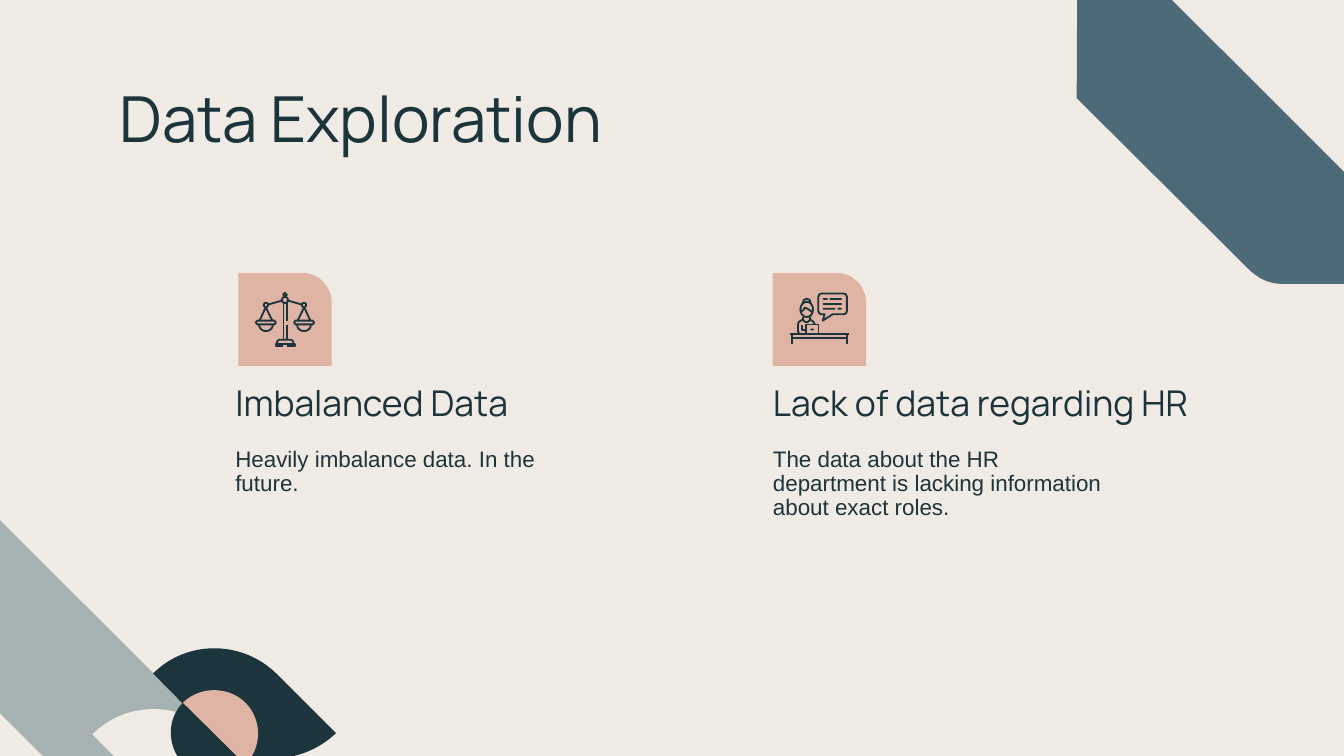
from pptx import Presentation
from pptx.dml.color import RGBColor
from pptx.enum.shapes import MSO_SHAPE
from pptx.oxml.ns import qn
from pptx.util import Pt
from lxml.etree import SubElement

HUES = {"cream": "F0EBE4", "ink": "1C343C", "pink": "E0B4A4", "grey": "A7B3B2", "blue": "4C6A78"}

BAND = [(171.8, 171), (0.5, 0), (0, 103), (92, 194.5), (97, 199.5, 103, 202.5, 110, 202.5),
        (171.8, 202.5)]
LEAF = [(0, 18), (18, 0, 47.5, 0, 66, 18), (98, 50), (79, 68, 49.5, 68, 31.5, 50)]
LOW = [(9, 41.5), (18, 50.5, 33, 50.5, 42, 41.5), (8.5, 8.5), (-0.5, 17.5, 0, 32.5, 9, 41.5)]
HIGH = [(42, 8.5), (33, -0.5, 17.5, -0.5, 8.5, 8.5), (42, 41.5), (51, 32.5, 51, 17.5, 42, 8.5)]

WIDE = 32.4
POST = [
    [(15.4, 6), (15.4, 25.6)],
    [(17.2, 6), (17.2, 15.5)],
    [(17.2, 17.5), (17.2, 25.6)],
    [(12, 27.7), (12, 26.6), (13, 25.6), (19.6, 25.6), (20.6, 26.6), (20.6, 27.7)],
    [(15.3, 29.1), (11.2, 29.1), (11.2, 27.7), (21.6, 27.7), (21.6, 29.1), (17.4, 29.1)],
]
ARM = [
    [(14.8, 4.6), (7.4, 6.7)],
    [(2.6, 15.4), (5.9, 8.2), (9.4, 15.4)],
    [(1.4, 15.4), (10.6, 15.4), (11.6, 15.4, 11.6, 17.4, 10.6, 17.4), (1.4, 17.4),
     (0.3, 17.4, 0.3, 15.4, 1.4, 15.4)],
    [(2.2, 17.4), (2.6, 22.2, 9.4, 22.2, 9.8, 17.4)],
]
CLERK = [
    [(7.3, 6), (7, 2.9, 11.8, 2.9, 11.5, 6)],
    [(6.4, 10.6), (7.4, 9.9, 8.2, 9.4, 8.3, 8.4), (9.5, 8.8, 11, 9.6, 12.3, 10.8)],
    [(7.4, 13.4), (7.4, 14.8), (8.3, 16.8, 10.3, 16.8, 11.2, 14.8), (11.2, 13.4)],
    [(8.6, 22.7), (6.5, 22.7), (5.4, 22.7, 4.7, 22, 4.7, 20.9), (4.7, 17.4),
     (4.7, 16.2, 5.3, 15.8, 6.2, 15.4), (7.4, 14.8)],
    [(11.2, 14.8), (13, 16), (13.6, 16.4, 13.8, 17, 13.8, 17.5)],
    [(6.9, 18), (6.9, 20.5), (8.8, 20.5)],
    [(9, 17.5), (15.7, 17.5), (15.7, 22.7), (9, 22.7), (9, 17.5)],
]
DESK = [
    [(0.5, 22.7), (32, 22.7)],
    [(1.7, 24.7), (31, 24.7)],
    [(1.7, 22.7), (1.7, 27.9)],
    [(31, 22.7), (31, 27.9)],
]
CHAT = [(17.3, 12), (16.4, 12, 15.6, 11.3, 15.6, 10.4), (15.6, 2.6),
        (15.6, 1.6, 16.4, 0.9, 17.3, 0.9), (29.2, 0.9), (30.2, 0.9, 30.9, 1.6, 30.9, 2.6),
        (30.9, 10.4), (30.9, 11.3, 30.2, 12, 29.2, 12), (23.3, 12), (18, 15.4),
        (19, 12), (17.3, 12)]
WORDS = [(18, 20.7, 3.8), (21.6, 28.2, 3.8), (18, 28.2, 6.5), (18, 24.8, 9), (25.9, 28.2, 9),
         (11.3, 13.2, 20.1)]


def hue(name):
    return RGBColor.from_string(HUES[name])


def form(slide, left, top, paths, close):
    pen = None
    for path in paths:
        dots = [(Pt(left + part[i]), Pt(top + part[i + 1]))
                for part in path for i in range(0, len(part), 2)]
        if pen is None:
            pen = slide.shapes.build_freeform(*dots[0], scale=1.0)
        else:
            pen.move_to(*dots[0])
        pen.add_line_segments(dots[1:], close=close or path[0] == path[-1][-2:])
    shape = pen.convert_to_shape()
    shape.shadow.inherit = False
    bend(shape, paths)
    return shape


def bend(shape, paths):
    nodes = iter(list(shape._element.iter(qn("a:lnTo"))))
    for part in (part for path in paths for part in path[1:]):
        trio = [next(nodes) for _ in range(len(part) // 2)]
        if len(trio) == 3:
            home = trio[0].getparent()
            curve = SubElement(home, qn("a:cubicBezTo"))
            trio[0].addprevious(curve)
            for node in trio:
                curve.append(node[0])
                home.remove(node)


def paint(shape, name):
    shape.fill.solid()
    shape.fill.fore_color.rgb = hue(name)
    shape.line.fill.background()


def blob(slide, left, top, path, name):
    paint(form(slide, left, top, [path], True), name)


def draw(slide, left, top, paths):
    shape = form(slide, left, top, paths, False)
    shape.fill.background()
    shape.line.color.rgb = hue("ink")
    shape.line.width = Pt(1)


def ring(x, y, wide, high):
    a, b = 0.55 * wide, 0.55 * high
    return [(x + wide, y),
            (x + wide, y + b, x + a, y + high, x, y + high),
            (x - a, y + high, x - wide, y + b, x - wide, y),
            (x - wide, y - b, x - a, y - high, x, y - high),
            (x + a, y - high, x + wide, y - b, x + wide, y)]


def flip(path):
    return [tuple(WIDE - v if i % 2 == 0 else v for i, v in enumerate(part)) for part in path]


def scales(slide, left, top):
    side = ARM + [ring(6, 7, 1.2, 1.2)]
    hub = [ring(16.2, 1.5, 1, 1), ring(16.2, 4.3, 1.7, 1.7)]
    draw(slide, left, top, POST + hub + side + [flip(path) for path in side])


def office(slide, left, top):
    draw(slide, left, top, CLERK + DESK + [ring(9.4, 9.4, 3.4, 4.1)])
    draw(slide, left, top, [CHAT])
    for start, end, y in WORDS:
        pill = slide.shapes.add_shape(
            MSO_SHAPE.ROUNDED_RECTANGLE,
            Pt(left + start), Pt(top + y - 0.5), Pt(end - start), Pt(1))
        pill.adjustments[0] = 0.5
        pill.shadow.inherit = False
        paint(pill, "ink")


def label(slide, left, top, width, height, text, font, size, gap=0):
    frame = slide.shapes.add_textbox(Pt(left), Pt(top), Pt(width), Pt(height)).text_frame
    frame.word_wrap = True
    frame.text = text
    para = frame.paragraphs[0]
    para.line_spacing = 0.9
    para.space_before = Pt(gap)
    face = para.runs[0].font
    face.name, face.size, face.color.rgb = font, Pt(size), hue("ink")


def corner(slide, left, top):
    blob(slide, left, top, BAND, "grey")
    blob(slide, left + 83.2, top + 64.8, LEAF, "ink")
    blob(slide, left + 50.7, top + 97.4, LEAF, "cream")
    blob(slide, left + 90.7, top + 90, LOW, "ink")
    blob(slide, left + 90.7, top + 90, HIGH, "pink")


def topic(slide, left, top, tile, width, head, body, icon):
    box = slide.shapes.add_shape(
        MSO_SHAPE.ROUND_1_RECTANGLE, Pt(left + tile), Pt(top), Pt(50), Pt(50))
    box.adjustments[0] = 0.317
    box.shadow.inherit = False
    paint(box, "pink")
    icon(slide, left + tile + 8.8, top + 10.2)
    label(slide, left, top + 56.8, width, 35, head, "Manrope", 19, 7.5)
    label(slide, left, top + 90.4, 194.4, 70.6, body, "Arial", 12, 7.5)


def main():
    deck = Presentation()
    deck.slide_width, deck.slide_height = Pt(720), Pt(405)
    slide = deck.slides.add_slide(deck.slide_layouts[6])
    slide.background.fill.solid()
    slide.background.fill.fore_color.rgb = hue("cream")
    corner(slide, -1.2, 278)
    blob(slide, 576.8, -50.4, BAND, "blue")
    label(slide, 57, 43.2, 606, 50.4, "Data Exploration", "Manrope", 34)
    topic(slide, 119, 146.2, 8.7, 194.4, "Imbalanced Data",
          "Heavily imbalance data. In the future.", scales)
    topic(slide, 407, 146.2, 7, 270, "Lack of data regarding HR",
          "The data about the HR department is lacking information about exact roles.", office)
    deck.save("out.pptx")


if __name__ == "__main__":
    main()
